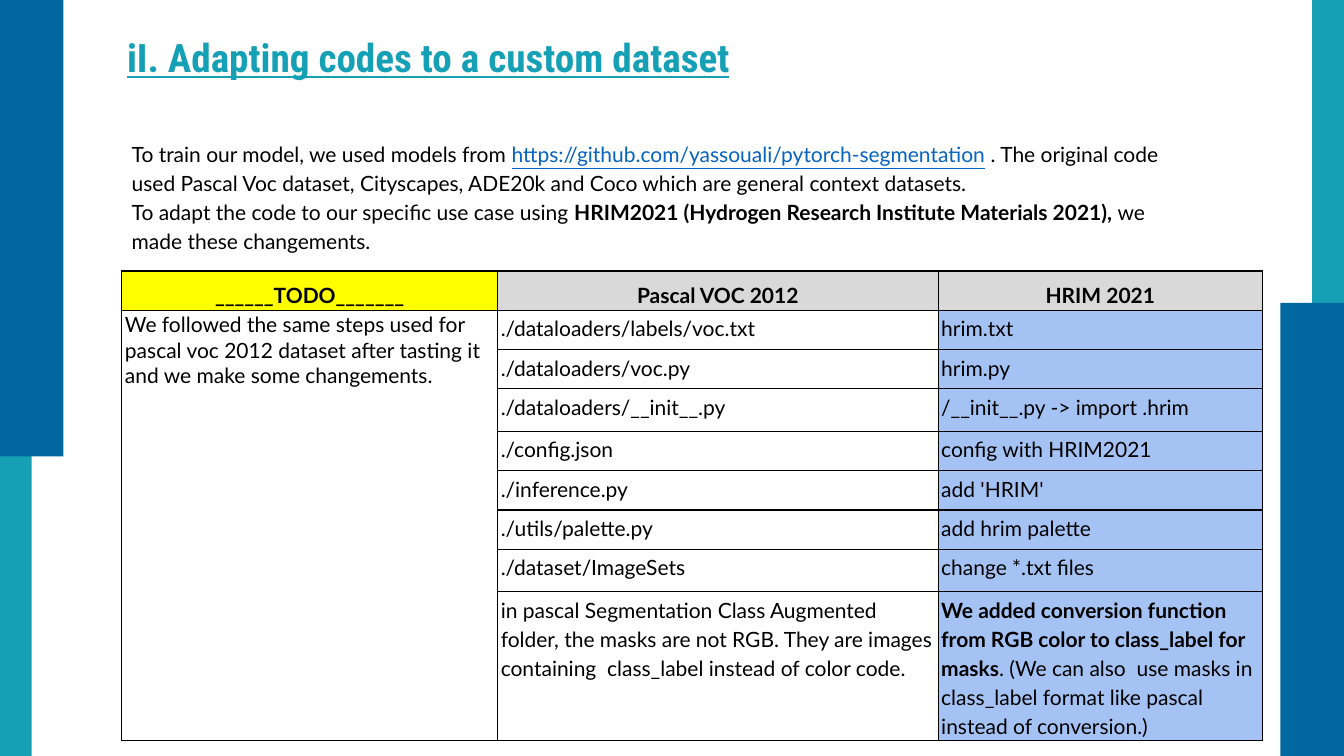
from lxml.etree import SubElement
from pptx import Presentation
from pptx.dml.color import RGBColor
from pptx.enum.shapes import MSO_SHAPE
from pptx.enum.text import MSO_ANCHOR, PP_ALIGN
from pptx.oxml.ns import qn
from pptx.util import Cm, Pt

TEAL, BLUE, BLACK, LINK = "15A0B6", "00689F", "000000", "0563C1"
YELLOW, GREY, LIGHT_BLUE = "FFFF00", "D9D9D9", "A4C2F4"


def style(span, size=15, name="Lato", color=BLACK, bold=False, underline=False):
    span.font.size = Pt(size)
    span.font.name = name
    span.font.color.rgb = RGBColor.from_string(color)
    span.font.bold = bold
    span.font.underline = underline


def add_borders(cell):
    """Draw all four sides; the lines must precede the fill in the cell XML."""
    properties = cell._tc.get_or_add_tcPr()
    for index, side in enumerate(("lnL", "lnR", "lnT", "lnB")):
        line = SubElement(properties, qn(f"a:{side}"), w=str(Pt(0.94)))
        fill = SubElement(line, qn("a:solidFill"))
        SubElement(fill, qn("a:srgbClr"), val=BLACK)
        properties.insert(index, line)


deck = Presentation()
deck.slide_width, deck.slide_height = Cm(33.87), Cm(19.05)
page = deck.slides.add_slide(deck.slide_layouts[5])

# Side bars: left, top, width, height
side_bars = [
    (33.07, 0, 0.8, 18.9, TEAL),
    (32.27, 7.63, 1.6, 11.5, BLUE),
    (0, 0.24, 0.8, 18.9, TEAL),
    (0, 0, 1.6, 11.5, BLUE),
]
for *place, color in side_bars:
    bar = page.shapes.add_shape(MSO_SHAPE.RECTANGLE, *map(Cm, place))
    bar.shadow.inherit = False
    bar.fill.solid()
    bar.fill.fore_color.rgb = RGBColor.from_string(color)
    bar.line.fill.background()

# Title
title = page.shapes.title
title.left, title.top, title.width, title.height = Cm(2.95), Cm(0.76), Cm(22.86), Cm(1.5)
title.text_frame.text = "iI. Adapting codes to a custom dataset"
title.text_frame.vertical_anchor = MSO_ANCHOR.MIDDLE
para = title.text_frame.paragraphs[0]
para.alignment = PP_ALIGN.LEFT
para.line_spacing = 0.9
style(para.runs[0], 28, "Roboto Condensed", TEAL, bold=True, underline=True)

# Introduction
introduction = [
    [
        ("To train our model, we used models from ", {}),
        ("https://github.com/yassouali/pytorch-segmentation", {"color": LINK, "underline": True}),
        (" . The original code used Pascal Voc dataset, Cityscapes, ADE20k and Coco "
         "which are general context datasets.", {}),
    ],
    [
        ("To adapt the code to our specific use case using ", {}),
        ("HRIM2021 (Hydrogen Research Institute Materials 2021), ", {"bold": True}),
        ("we made these changements.", {}),
    ],
]
box = page.shapes.add_textbox(Cm(3.07), Cm(3.23), Cm(27.36), Cm(3.38))
frame = box.text_frame
frame.word_wrap = True
frame.margin_left = frame.margin_right = frame.margin_top = frame.margin_bottom = Cm(0.25)
for number, spans in enumerate(introduction):
    para = frame.add_paragraph() if number else frame.paragraphs[0]
    para.line_spacing = 1.15
    for text, look in spans:
        span = para.add_run()
        span.text = text
        style(span, **look)

# Table of changes
steps = ("We followed the same steps used for pascal voc 2012 dataset after tasting it "
         "and we make some changements.")
conversion = "We added conversion function from RGB color to class_label for masks"
rows = [
    ("______TODO_______", "Pascal VOC 2012", "HRIM 2021"),
    (steps, "./dataloaders/labels/voc.txt", "hrim.txt"),
    ("", "./dataloaders/voc.py", "hrim.py"),
    ("", "./dataloaders/__init__.py", "/__init__.py -> import .hrim"),
    ("", "./config.json", "config with HRIM2021"),
    ("", "./inference.py", "add 'HRIM'"),
    ("", "./utils/palette.py", "add hrim palette"),
    ("", "./dataset/ImageSets", "change *.txt files"),
    ("", "in pascal Segmentation Class Augmented folder, the masks are not RGB. "
         "They are images containing  class_label instead of color code.", conversion),
]
widths = [9.47, 11.1, 8.18]
heights = [0.99, 0.99, 0.99, 1.07, 0.99, 0.99, 0.99, 1.07, 3.56]
table = page.shapes.add_table(
    len(rows), len(widths), Cm(3.07), Cm(6.83), Cm(sum(widths)), Cm(sum(heights))
).table
for column, width in zip(table.columns, widths):
    column.width = Cm(width)
for row, height in zip(table.rows, heights):
    row.height = Cm(height)

for row_number, texts in enumerate(rows):
    header = row_number == 0
    fills = (YELLOW, GREY, GREY) if header else (None, None, LIGHT_BLUE)
    for column_number, (text, fill) in enumerate(zip(texts, fills)):
        cell = table.cell(row_number, column_number)
        cell.margin_left = cell.margin_right = Cm(0.08)
        cell.margin_top = cell.margin_bottom = Cm(0.05)
        cell.vertical_anchor = MSO_ANCHOR.BOTTOM if header else MSO_ANCHOR.TOP
        if fill:
            cell.fill.solid()
            cell.fill.fore_color.rgb = RGBColor.from_string(fill)
        else:
            cell.fill.background()
        add_borders(cell)
        if not text:
            continue
        cell.text_frame.text = text
        para = cell.text_frame.paragraphs[0]
        para.alignment = PP_ALIGN.CENTER if header else PP_ALIGN.LEFT
        para.line_spacing = 1.0 if text == steps else 1.15
        style(para.runs[0], bold=header or text == conversion)

remark = table.cell(8, 2).text_frame.paragraphs[0].add_run()
remark.text = ". (We can also  use masks in class_label format like pascal instead of conversion.)"
style(remark)
table.cell(1, 0).merge(table.cell(8, 0))

deck.save("out.pptx")
